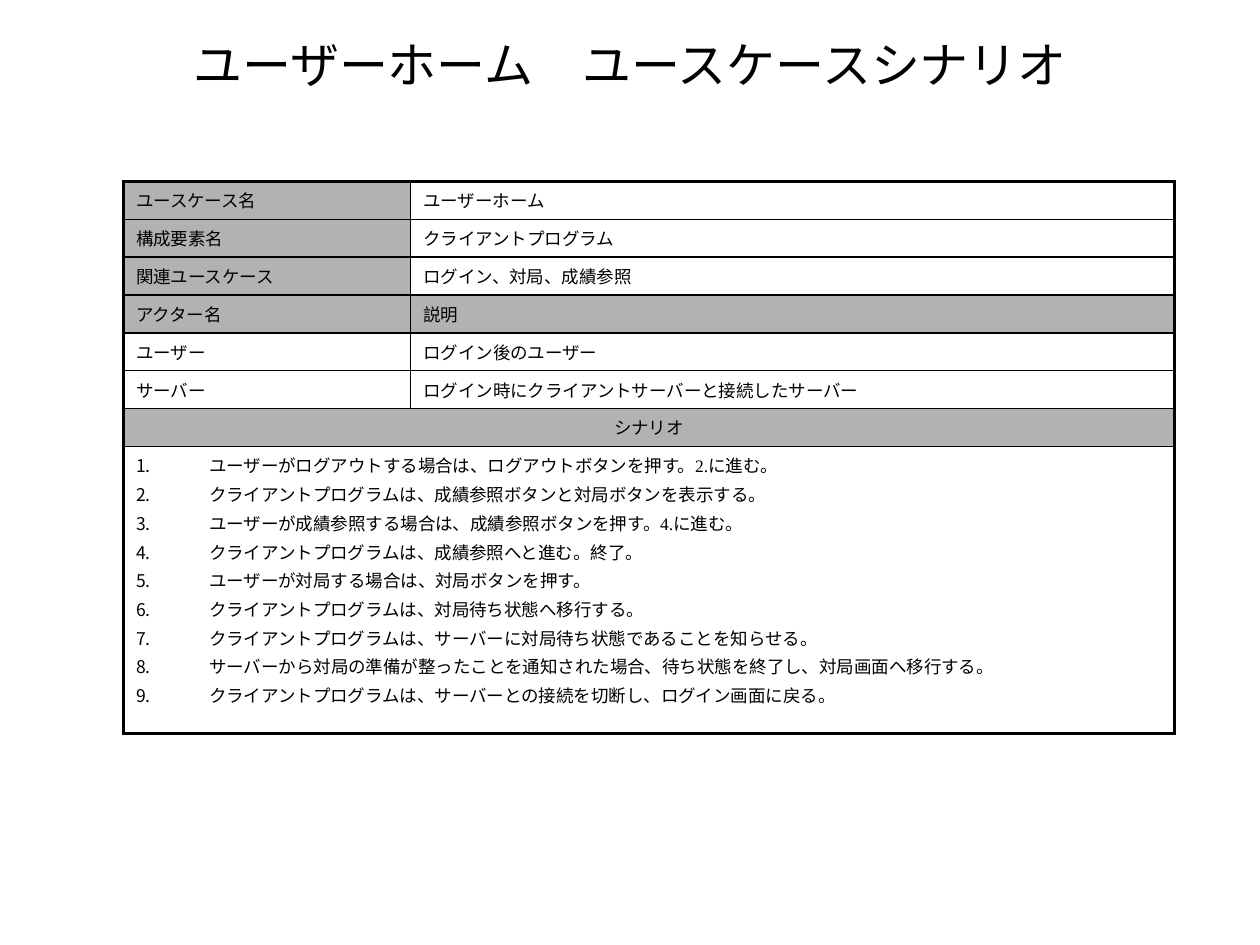
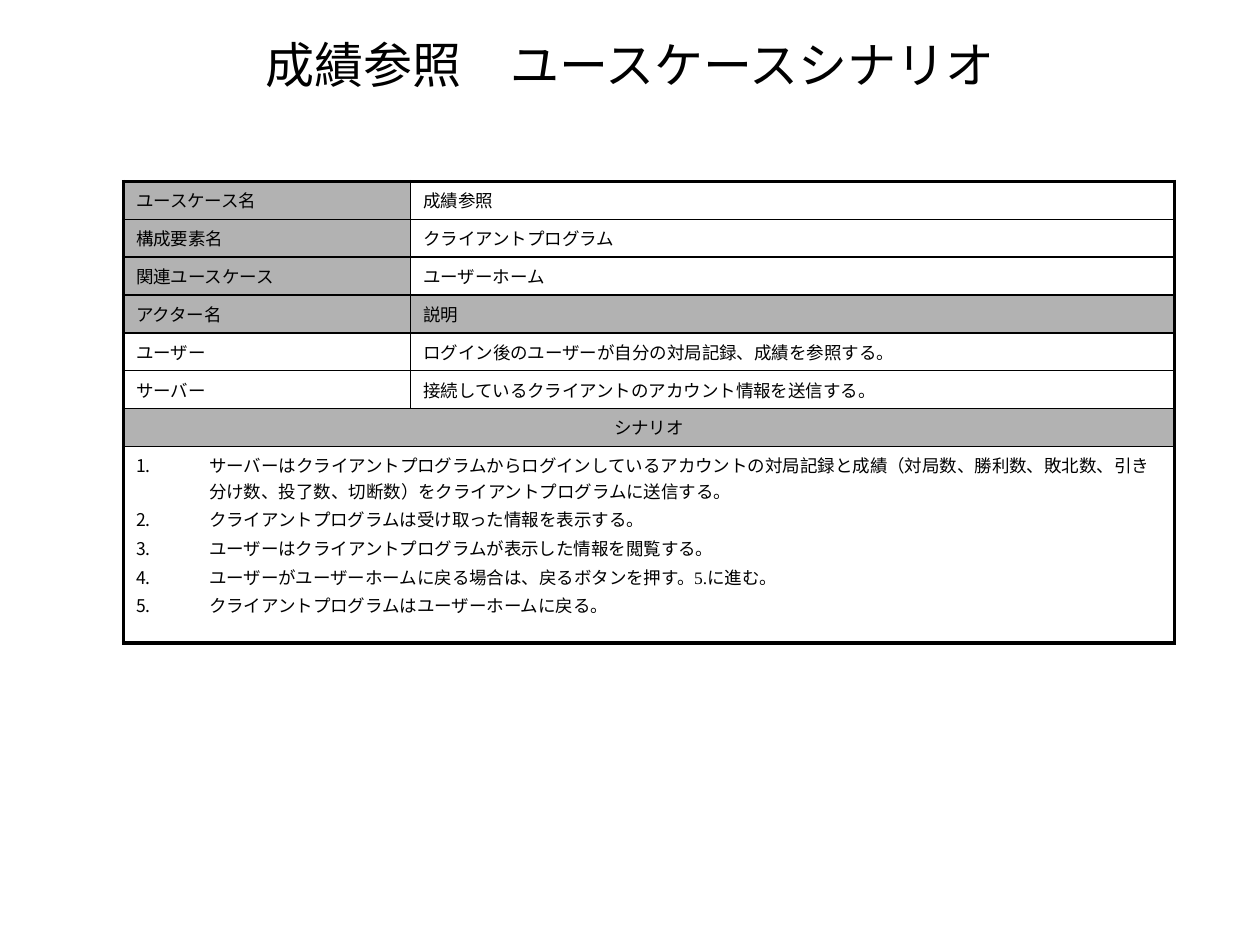
from dataclasses import dataclass

from lxml import etree
from pptx import Presentation
from pptx.dml.color import RGBColor
from pptx.enum.text import MSO_ANCHOR, MSO_AUTO_SIZE, PP_ALIGN
from pptx.oxml.ns import qn
from pptx.util import Inches, Pt

CENTER, LEFT = PP_ALIGN.CENTER, PP_ALIGN.LEFT
MIDDLE = MSO_ANCHOR.MIDDLE
NO_AUTOFIT = MSO_AUTO_SIZE.NONE
TITLE_ONLY_LAYOUT = 5


@dataclass(frozen=True)
class Theme:
    ink: str = "000000"
    paper: str = "FFFFFF"
    shade: str = "B2B2B2"
    font: str = "Times New Roman"
    title_size: float = 28
    text_size: float = 10
    text_gap: float = 2
    thin: float = 1
    thick: float = 2.25
    number_indent: float = 0.58  # inches


class ScenarioDeck:
    """Holds the style and the slide being built; places are shares of the slide."""

    title_box = (0.075, 0.036, 0.85, 0.064)
    table_left, table_top = 0.098, 0.192
    column_shares = (0.228, 0.606)
    row_share = 0.04

    def __init__(self, theme):
        self.theme = theme
        self.presentation = Presentation()
        self.presentation.slide_width = Inches(10)
        self.presentation.slide_height = Inches(7.5)
        self.slide = None

    def across(self, share):
        return round(self.presentation.slide_width * share)

    def down(self, share):
        return round(self.presentation.slide_height * share)

    def new_slide(self, title):
        layout = self.presentation.slide_layouts[TITLE_ONLY_LAYOUT]
        self.slide = self.presentation.slides.add_slide(layout)
        shape = self.slide.shapes.title
        left, top, width, height = self.title_box
        shape.left, shape.width = self.across(left), self.across(width)
        shape.top, shape.height = self.down(top), self.down(height)
        frame = shape.text_frame
        frame.text = title
        frame.auto_size = NO_AUTOFIT
        frame.vertical_anchor = MIDDLE
        self.format(frame.paragraphs[0], self.theme.title_size, CENTER)

    def format(self, paragraph, size, alignment):
        paragraph.alignment = alignment
        paragraph.font.name = self.theme.font
        paragraph.font.size = Pt(size)
        paragraph.font.color.rgb = RGBColor.from_string(self.theme.ink)

    def fill_cell(self, cell, lines, shaded=False, alignment=LEFT, numbered=False):
        cell.text = "\n".join(lines)
        cell.fill.solid()
        color = self.theme.shade if shaded else self.theme.paper
        cell.fill.fore_color.rgb = RGBColor.from_string(color)
        for paragraph in cell.text_frame.paragraphs:
            self.format(paragraph, self.theme.text_size, alignment)
            paragraph.space_before = Pt(self.theme.text_gap)
            if numbered:
                self.number(paragraph)

    def number(self, paragraph):
        properties = paragraph._p.get_or_add_pPr()
        indent = Inches(self.theme.number_indent)
        properties.set("marL", str(indent))
        properties.set("indent", str(-indent))
        etree.SubElement(properties, qn("a:buAutoNum"), type="arabicPeriod")

    def border_cell(self, cell, thick_edges):
        """Draw all four edges; thick_edges names the sides on the outer frame."""
        properties = cell._tc.get_or_add_tcPr()
        for position, side in enumerate("LRTB"):
            width = self.theme.thick if side in thick_edges else self.theme.thin
            line = etree.Element(qn(f"a:ln{side}"), w=str(Pt(width)))
            fill = etree.SubElement(line, qn("a:solidFill"))
            etree.SubElement(fill, qn("a:srgbClr"), val=self.theme.ink)
            properties.insert(position, line)

    def scenario_table(self, pairs, steps, steps_share):
        header_row = len(pairs)
        steps_row = header_row + 1
        row_shares = [self.row_share] * steps_row + [steps_share]
        table = self.slide.shapes.add_table(
            len(row_shares), len(self.column_shares),
            self.across(self.table_left), self.down(self.table_top),
            self.across(sum(self.column_shares)), self.down(sum(row_shares))).table
        table.first_row = table.horz_banding = False
        for column, share in zip(table.columns, self.column_shares):
            column.width = self.across(share)
        for row, share in zip(table.rows, row_shares):
            row.height = self.down(share)

        # Use case facts, then the actors below their own heading
        for row, pair in enumerate(pairs):
            for column, text in enumerate(pair):
                shaded = row == ACTOR_ROW or (row < ACTOR_ROW and column == 0)
                self.fill_cell(table.cell(row, column), [text], shaded)

        # Full-width scenario heading and numbered steps
        for row in (header_row, steps_row):
            table.cell(row, 0).merge(table.cell(row, 1))
        self.fill_cell(table.cell(header_row, 0), ["シナリオ"], True, CENTER)
        self.fill_cell(table.cell(steps_row, 0), steps, numbered=True)

        # Thick frame, thin inner lines
        for row in range(len(row_shares)):
            for column in range(len(self.column_shares)):
                edges = "LR" if row >= header_row else "LR"[column]
                edges += "T" * (row == 0) + "B" * (row == steps_row)
                self.border_cell(table.cell(row, column), edges)


LABELS = ("ユースケース名", "構成要素名", "関連ユースケース", "アクター名", "ユーザー", "サーバー")
ACTOR_ROW = LABELS.index("アクター名")
COMPONENT, ACTOR_HEADING = "クライアントプログラム", "説明"

# name, related use cases, user, server, share of the steps row, steps
SCENARIOS = [
    ("ユーザーホーム", "ログイン、対局、成績参照", "ログイン後のユーザー",
     "ログイン時にクライアントサーバーと接続したサーバー", 0.304, [
         "ユーザーがログアウトする場合は、ログアウトボタンを押す。2.に進む。",
         "クライアントプログラムは、成績参照ボタンと対局ボタンを表示する。",
         "ユーザーが成績参照する場合は、成績参照ボタンを押す。4.に進む。",
         "クライアントプログラムは、成績参照へと進む。終了。",
         "ユーザーが対局する場合は、対局ボタンを押す。",
         "クライアントプログラムは、対局待ち状態へ移行する。",
         "クライアントプログラムは、サーバーに対局待ち状態であることを知らせる。",
         "サーバーから対局の準備が整ったことを通知された場合、待ち状態を終了し、対局画面へ移行する。",
         "クライアントプログラムは、サーバーとの接続を切断し、ログイン画面に戻る。",
     ]),
    ("成績参照", "ユーザーホーム", "ログイン後のユーザーが自分の対局記録、成績を参照する。",
     "接続しているクライアントのアカウント情報を送信する。", 0.208, [
         "サーバーはクライアントプログラムからログインしているアカウントの対局記録と成績"
         "（対局数、勝利数、敗北数、引き分け数、投了数、切断数）をクライアントプログラムに送信する。",
         "クライアントプログラムは受け取った情報を表示する。",
         "ユーザーはクライアントプログラムが表示した情報を閲覧する。",
         "ユーザーがユーザーホームに戻る場合は、戻るボタンを押す。5.に進む。",
         "クライアントプログラムはユーザーホームに戻る。",
     ]),
]

deck = ScenarioDeck(Theme())
for name, related, user, server, steps_share, steps in SCENARIOS:
    deck.new_slide(f"{name}\u3000ユースケースシナリオ")
    values = (name, COMPONENT, related, ACTOR_HEADING, user, server)
    deck.scenario_table(list(zip(LABELS, values)), steps, steps_share)

deck.presentation.save("out.pptx")
